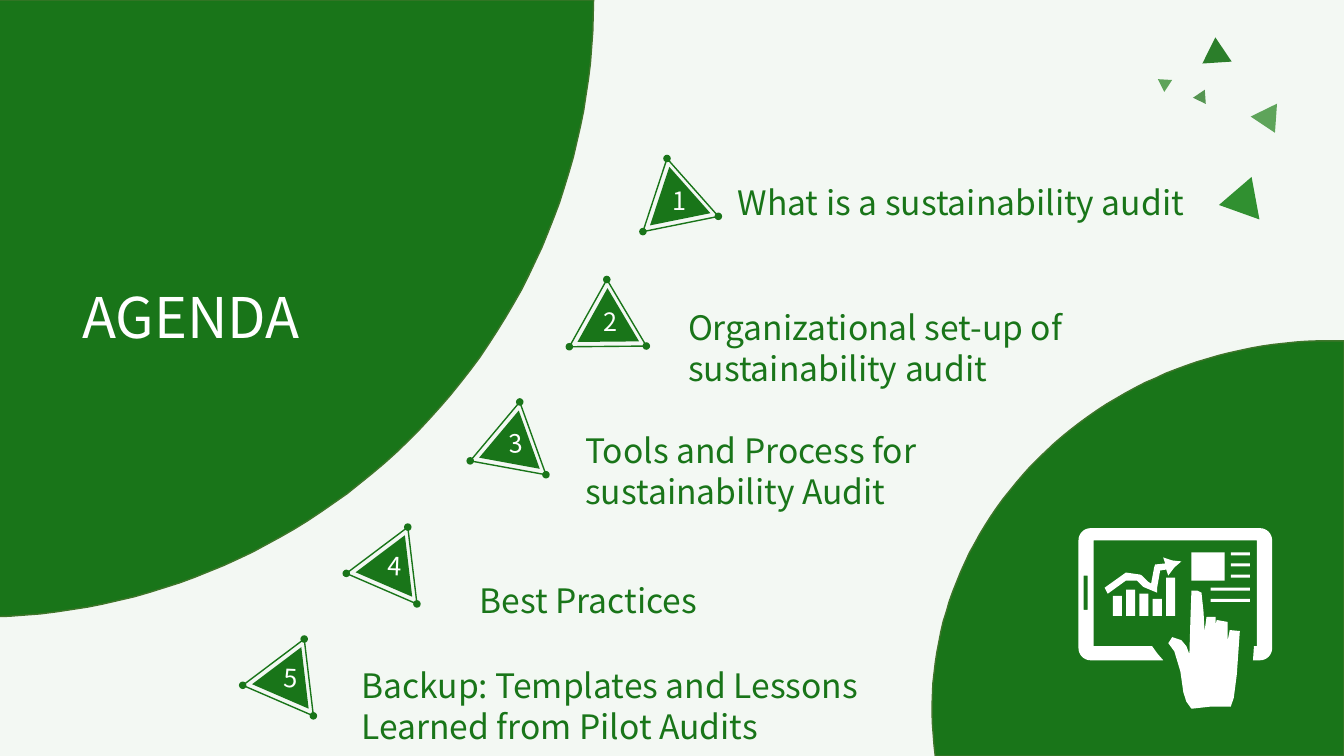
import math

from pptx import Presentation, util as u
from pptx.dml.color import RGBColor
from pptx.enum import shapes, text

FONT = "Noto Sans CJK SC"
GREEN, RIM, WHITE, PALE = "197519", "3E752A", "FFFFFF", "F3F8F3"
TRIANGLE_RATIO = 0.86  # height of a triangle to its base


def color(value):
    return RGBColor.from_string(value)


def paint(shape, fill=None, line=None):
    shape.shadow.inherit = False
    if fill:
        shape.fill.solid()
        shape.fill.fore_color.rgb = color(fill)
    else:
        shape.fill.background()
    if line:
        shape.line.color.rgb = color(line)
        shape.line.width = u.Pt(1)
    else:
        shape.line.fill.background()


def add_centered(parent, kind, center, width, height, angle=0, fill=None, line=None):
    shape = parent.add_shape(kind, u.Cm(center[0] - width / 2), u.Cm(center[1] - height / 2),
                             u.Cm(width), u.Cm(height))
    shape.rotation = angle
    paint(shape, fill, line)


def add_triangle(parent, center, base, angle, fill=None, line=None):
    add_centered(parent, shapes.MSO_SHAPE.ISOSCELES_TRIANGLE, center, base,
                 base * TRIANGLE_RATIO, angle, fill, line)


def add_label(parent, box, words, size, ink, align=None):
    label = parent.add_textbox(*(u.Cm(value) for value in box))
    frame = label.text_frame
    frame.word_wrap = True
    frame.auto_size = text.MSO_AUTO_SIZE.SHAPE_TO_FIT_TEXT
    frame.text = words
    para = frame.paragraphs[0]
    para.alignment = align
    span = para.runs[0]
    span.font.size = u.Pt(size)
    span.font.name = FONT
    span.font.color.rgb = color(ink)
    return label


def arc(center, radius_x, radius_y, start, end, steps):
    angles = [math.radians(start + (end - start) * i / steps) for i in range(steps + 1)]
    return [(center[0] + radius_x * math.cos(a), center[1] + radius_y * math.sin(a))
            for a in angles]


def rectangle(left, top, width, height):
    return [(left, top), (left + width, top), (left + width, top + height), (left, top + height)]


def add_outline(page, contours, unit, origin=(0, 0), fill=None, line=None):
    """Draws closed contours as one shape; unit is the length of one step in cm."""
    fine = 100
    scaled = [[(x * fine, y * fine) for x, y in contour] for contour in contours]
    builder = page.shapes.build_freeform(*scaled[0][0], scale=u.Cm(unit) / fine)
    for index, contour in enumerate(scaled):
        if index:
            builder.move_to(*contour[0])
        builder.add_line_segments(contour[1:], close=True)
    paint(builder.convert_to_shape(u.Cm(origin[0]), u.Cm(origin[1])), fill, line)


# Scattered triangles in the top right corner
def add_confetti(page, box):
    left, top = box[:2]
    for x, y, base, angle, fill in [
        (2.86, 2.12, 0.74, 153.9, "5EA45A"),
        (2.05, 4.14, 1.09, 259.5, "309030"),
        (1.52, 0.32, 0.74, 356.2, "2B7E2A"),
        (0.18, 1.14, 0.36, 303.5, "5EA45A"),
        (1.17, 1.55, 0.36, 145.8, "559551"),
    ]:
        add_triangle(page.shapes, (left + x, top + y), base, angle, fill)


# Numbered triangle with a dot on each corner
def add_marker(page, center, angle, number, tilt):
    parts = page.shapes.add_group_shape().shapes
    turn = math.radians(angle)

    def turned(x, y):
        return (center[0] + x * math.cos(turn) - y * math.sin(turn),
                center[1] + x * math.sin(turn) + y * math.cos(turn))

    base = 1.95
    half = base * TRIANGLE_RATIO / 2
    add_triangle(parts, center, base, angle, line=GREEN)
    add_triangle(parts, turned(0, 0.07), 1.56, angle, GREEN)
    for corner in [(0, -half), (base / 2, half), (-base / 2, half)]:
        add_centered(parts, shapes.MSO_SHAPE.OVAL, turned(*corner), 0.19, 0.19, fill=GREEN)
    x, y = turned(0.06, 0.29)
    label = add_label(parts, (x - 0.32, y - 0.51, 0.64, 1.02), str(number), 18, WHITE,
                      text.PP_ALIGN.CENTER)
    label.rotation = tilt


# Title on the large round panel
def add_title_panel(page, box):
    left, top, width, height = box
    inset = 0.41
    radius = width + inset
    curve = arc((left - inset, top), radius, radius, 0, 88.5, 60)
    add_outline(page, [[(left, top)] + curve], 1, fill=GREEN, line=RIM)
    add_label(page.shapes, (left + 2.01, top + 6.99, 8.56, 1.96), "AGENDA", 40, WHITE,
              text.PP_ALIGN.JUSTIFY)


# Tablet with a chart and a pointing hand
def add_tablet_icon(page, box):
    left, top, width, height = box
    frame = (arc((180, 12), 12, 12, 270, 360, 8) + arc((180, 119), 12, 12, 0, 90, 8)
             + [(173, 131), (174, 117), (177, 117), (177, 12), (15, 12), (15, 117),
                (73, 117), (78, 124), (84, 131)]
             + arc((12, 119), 12, 12, 90, 180, 8) + arc((12, 12), 12, 12, 180, 270, 8))
    button = rectangle(5, 47, 4, 34)
    photo = rectangle(112, 24, 33, 28)
    short_lines = [rectangle(151, y, 19, 3) for y in (24, 35, 46)]
    long_lines = [rectangle(131, y, 39, 3) for y in (59, 70)]
    bars = [rectangle(34 + 13.2 * i, 87 - tall, 9, tall)
            for i, tall in enumerate((20, 26, 22, 17, 38))]
    trend = [(26, 59), (29, 65), (47, 52), (58, 52), (64, 58), (66, 59), (78, 64), (78, 59),
             (81, 42), (87, 41), (89, 47), (95, 39), (102, 33), (93, 32), (84, 29), (86, 35),
             (76, 36), (75, 39), (72, 55), (69, 53), (63, 47), (61, 46), (47, 44)]
    hand = [(125, 102), (124, 83), (122, 64), (118, 62), (112, 62), (111, 90), (110, 125),
            (107, 117), (102, 111), (93, 108), (89, 114), (95, 122), (101, 142), (104, 163),
            (107, 172), (112, 179), (130, 177), (151, 177), (154, 168), (157, 145), (160, 102),
            (150, 101), (148, 111), (148, 93), (137, 91), (136, 96), (136, 88), (127, 88)]
    contours = [frame, button, photo, *short_lines, *long_lines, *bars, trend, hand]
    add_outline(page, contours, width / 192, (left, top), WHITE)


# Round panel in the lower right corner
def add_icon_panel(page, box):
    left, top, width, height = box
    radius_x, radius_y = 10.01, 9.27
    curve = arc((left + radius_x, top + radius_y), radius_x, radius_y, 270, 172.6, 60)
    corners = [(left + width, top + height), (left + width, top)]
    add_outline(page, [curve + corners], 1, fill=GREEN, line=RIM)
    add_tablet_icon(page, (left + 3.69, top + 4.72, 4.88, 4.55))


# Agenda entries: marker centre, marker angle, number tilt, text box, wording
TOPICS = [
    ((16.83, 5.28), 228.4, 0, (18.34, 4.47, 12.67, 1.27), "What is a sustainability audit"),
    ((15.07, 8.31), 239.3, 0, (17.09, 7.62, 12.67, 2.31),
     "Organizational set-up of sustainability audit"),
    ((12.64, 11.33), 250.2, 356.4, (14.5, 10.72, 11.73, 2.31),
     "Tools and Process for sustainability Audit"),
    ((9.56, 14.35), 263.2, 2.1, (11.84, 14.48, 12.5, 1.27), "Best Practices"),
    ((6.95, 17.17), 263.2, 2.1, (8.86, 16.64, 14.76, 2.31),
     "Backup: Templates and Lessons Learned from Pilot Audits"),
]


def main():
    deck = Presentation()
    deck.slide_width, deck.slide_height = u.Cm(33.87), u.Cm(19.05)
    page = deck.slides.add_slide(deck.slide_layouts[6])
    page.background.fill.solid()
    page.background.fill.fore_color.rgb = color(PALE)

    add_confetti(page, (29.13, 0.94, 3.3, 4.6))
    add_title_panel(page, (-0.18, 0, 15.14, 15.54))
    add_icon_panel(page, (23.49, 8.59, 10.38, 10.46))
    for number, (center, angle, tilt, box, words) in enumerate(TOPICS, 1):
        add_label(page.shapes, box, words, 24, GREEN)
        add_marker(page, center, angle, number, tilt)
    deck.save("out.pptx")


if __name__ == "__main__":
    main()
